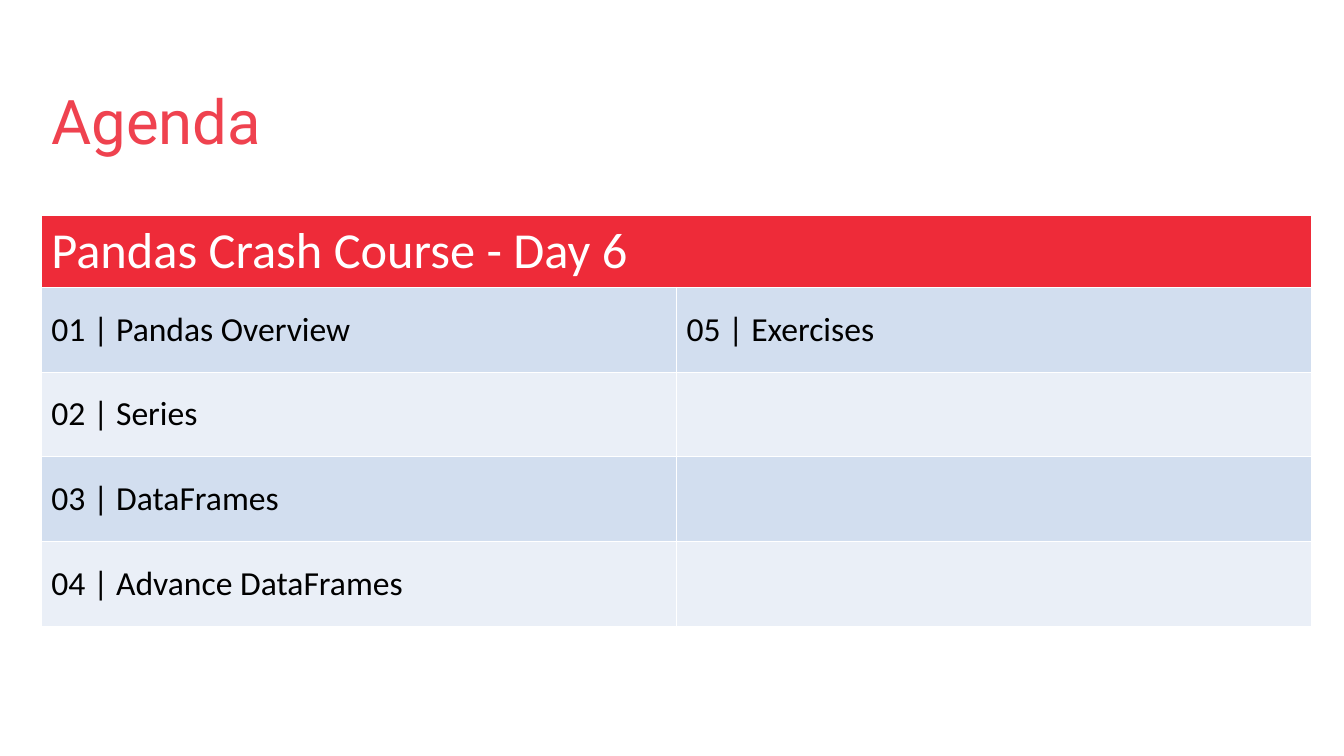
from pptx import Presentation
from pptx.dml.color import RGBColor
from pptx.enum.text import MSO_ANCHOR, MSO_AUTO_SIZE, PP_ALIGN
from pptx.util import Inches, Pt

TOPICS = ["Pandas Overview", "Series", "DataFrames", "Advance DataFrames", "Exercises"]
TOPIC_ROWS = 4


def rgb(value):
    """Return the colour for a hex string."""
    return RGBColor.from_string(value)


def write(tf, text, size=24, font="Calibri", color="000000", spacing=None):
    """Put one formatted, left-aligned paragraph into a text frame."""
    p = tf.paragraphs[0]
    p.alignment = PP_ALIGN.LEFT
    if spacing:
        p.line_spacing = spacing
    r = p.add_run()
    r.text = text
    r.font.size = Pt(size)
    r.font.name = font
    r.font.bold = False
    r.font.color.rgb = rgb(color)


class AgendaSlide:
    """Holds the grid, the colours and the current slide."""

    LEFT, TOP = 0.41, 2.14
    COL, ROW, HEADER = 6.3, 0.84, 0.71
    RED, TITLE, BANDS = "EE2B39", "EF424F", ("D2DEEF", "EAEFF7")

    def __init__(self, prs):
        """Add a title-only slide."""
        self.s = prs.slides.add_slide(prs.slide_layouts[5])

    def box(self, col, row, cols, rows):
        """Turn grid columns and rows into left, top, width and height."""
        return (Inches(self.LEFT + col * self.COL), Inches(self.TOP + row * self.ROW),
                Inches(cols * self.COL), Inches(rows * self.ROW))

    def title(self, text, *place):
        """Move, fill and format the title placeholder."""
        sp = self.s.shapes.title
        sp.left, sp.top, sp.width, sp.height = self.box(*place)
        tf = sp.text_frame
        tf.word_wrap = True
        tf.auto_size = MSO_AUTO_SIZE.NONE
        tf.vertical_anchor = MSO_ANCHOR.BOTTOM
        write(tf, text, size=44, font="Roboto", color=self.TITLE, spacing=0.7)

    def cell(self, cell, fill, text="", **fmt):
        """Fill one table cell and write its text."""
        cell.fill.solid()
        cell.fill.fore_color.rgb = rgb(fill)
        cell.vertical_anchor = MSO_ANCHOR.MIDDLE
        if text:
            write(cell.text_frame, text, **fmt)

    def agenda(self, heading, topics, rows, cols=2):
        """Add a merged heading over banded rows, numbered down each column."""
        place = self.box(0, 0, cols, rows + self.HEADER / self.ROW)
        table = self.s.shapes.add_table(rows + 1, cols, *place).table
        table.rows[0].height = Inches(self.HEADER)
        table.cell(0, 0).merge(table.cell(0, cols - 1))
        self.cell(table.cell(0, 0), self.RED, heading, size=36, color="FFFFFF")
        for row in range(rows):
            table.rows[row + 1].height = Inches(self.ROW)
            for col in range(cols):
                i = col * rows + row
                text = f"{i + 1:02d} | {topics[i]}" if i < len(topics) else ""
                self.cell(table.cell(row + 1, col), self.BANDS[row % 2], text)


def main():
    """Build and save the agenda slide."""
    prs = Presentation()
    prs.slide_width, prs.slide_height = Inches(13.33), Inches(7.5)
    slide = AgendaSlide(prs)
    slide.agenda("Pandas Crash Course - Day 6", TOPICS, TOPIC_ROWS)
    slide.title("Agenda", 0, -2.31, 2, 1.65)
    prs.save("out.pptx")


if __name__ == "__main__":
    main()
